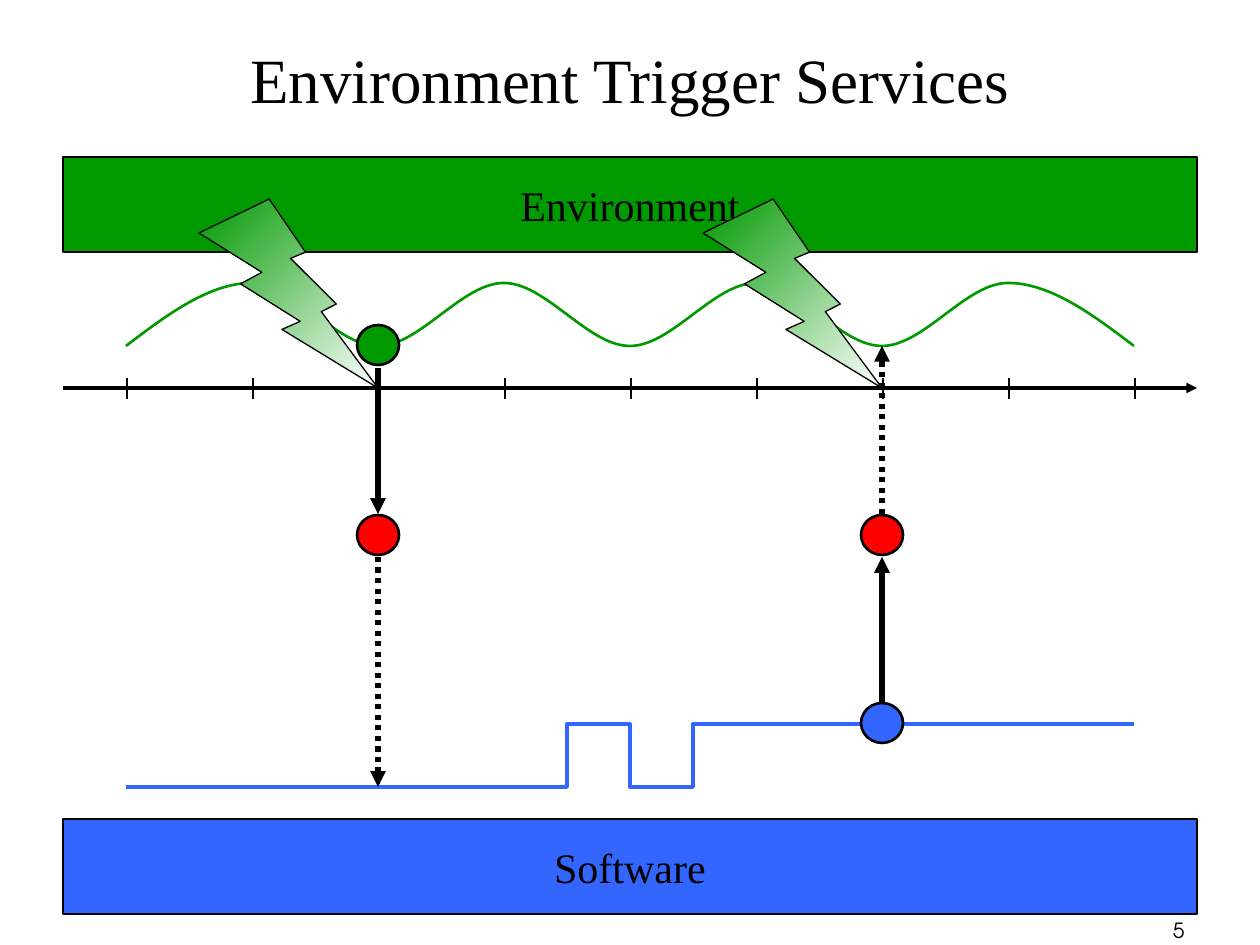
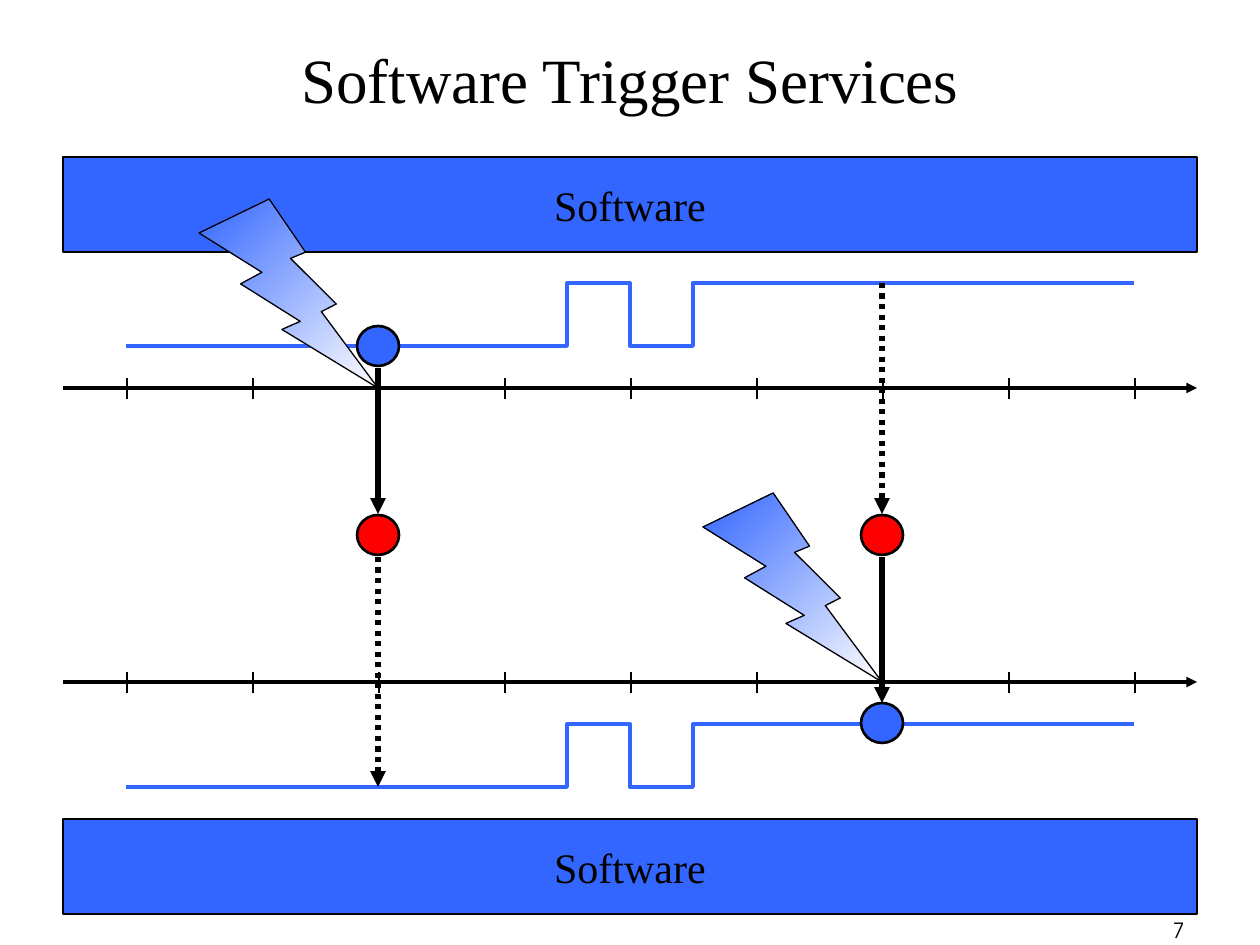
from lxml import etree
from pptx import Presentation
from pptx import util as u
from pptx.dml.color import RGBColor
from pptx.enum import dml, shapes, text
from pptx.oxml.ns import qn

PX = 914400 / 126  # EMU in one px
COLOURS = {name: RGBColor.from_string(value) for name, value in {
    "black": "000000", "white": "FFFFFF", "red": "FF0000",
    "green": "009900", "blue": "3366FF"}.items()}
SERIF, SANS = "Times New Roman", "TeX Gyre Adventor"
RECT, OVAL, BOLT = (shapes.MSO_SHAPE.RECTANGLE, shapes.MSO_SHAPE.OVAL,
                    shapes.MSO_SHAPE.LIGHTNING_BOLT)
STEP, LEFT, WAVE_H = 126, 126, 63
DOT_W, DOT_H = 42, 40
BOLT_W, BOLT_H = 179, 189

# Arrows are (x, from y, to y, dotted), dots (x, y, colour), bolts their tips
SLIDES = [
    dict(title="Environment Trigger Services", number="5",
         bands=[("Environment", 157, "green"), ("Software", 819, "blue")],
         curves=[283], pulses=[724], axes=[388],
         arrows=[(378, 368, 514, False), (378, 557, 787, True),
                 (882, 703, 557, False), (882, 514, 346, True)],
         dots=[(378, 345, "green"), (378, 535, "red"),
               (882, 535, "red"), (882, 723, "blue")],
         bolts=[(378, 388, "green"), (882, 388, "green")]),
    dict(title="Software Trigger Services", number="7",
         bands=[("Software", 157, "blue"), ("Software", 819, "blue")],
         curves=[], pulses=[283, 724], axes=[388, 682],
         arrows=[(378, 368, 514, False), (378, 557, 787, True),
                 (882, 557, 703, False), (882, 283, 514, True)],
         dots=[(378, 346, "blue"), (378, 535, "red"),
               (882, 535, "red"), (882, 723, "blue")],
         bolts=[(378, 388, "blue"), (882, 682, "blue")]),
]


def px(*lengths):
    return [u.Emu(round(n * PX)) for n in lengths]


def add_line(parent, ends, width, arrow=False, dotted=False):
    c = parent.add_connector(shapes.MSO_CONNECTOR.STRAIGHT, *px(*ends))
    c.line.color.rgb = COLOURS["black"]
    c.line.width = u.Pt(width)
    if dotted:
        c.line.dash_style = dml.MSO_LINE.ROUND_DOT
    if arrow:
        etree.SubElement(c.line._get_or_add_ln(), qn("a:tailEnd"), type="triangle")
    etree.SubElement(c._element.spPr, qn("a:effectLst"))


prs = Presentation()
prs.slide_width, prs.slide_height = px(1260, 945)

for data in SLIDES:
    s = prs.slides.add_slide(prs.slide_layouts[5])

    # Title
    title = s.shapes.title
    title.left, title.top, title.width, title.height = px(63, 0, 1134, 157)
    title.text = data["title"]
    title.text_frame.vertical_anchor = text.MSO_ANCHOR.MIDDLE
    p = title.text_frame.paragraphs[0]
    p.alignment = text.PP_ALIGN.CENTER
    p.font.name, p.font.size = SERIF, u.Pt(36)
    p.font.color.rgb = COLOURS["black"]

    # Signals: square pulses of the software, waves of the environment
    signals = []
    for top in data["pulses"]:
        low, high = top + WAVE_H, top
        fb = s.shapes.build_freeform(LEFT, low, scale=PX)
        fb.add_line_segments([(567, low), (567, high), (630, high), (630, low),
                              (693, low), (693, high), (1134, high)], close=False)
        signals.append((fb.convert_to_shape(), "blue", 2.25))
    for top in data["curves"]:
        nodes = [(i * STEP, 0 if i % 2 else WAVE_H) for i in range(9)]
        fb = s.shapes.build_freeform(LEFT, top + WAVE_H, scale=PX)
        fb.add_line_segments([(LEFT + x, top + y) for x, y in nodes[1:]], close=False)
        sp = fb.convert_to_shape()
        # Turn each segment into a Bezier, level at every inner node
        handles = [y for x, y in nodes]
        handles[0] = handles[-1] = WAVE_H // 2
        for i, seg in enumerate(list(sp._element.iter(qn("a:lnTo")))):
            (x0, y0), (x1, y1) = nodes[i:i + 2]
            curve = etree.Element(qn("a:cubicBezTo"))
            for x, y in [(x0 + STEP // 3, handles[i]),
                         (x1 - STEP // 3, handles[i + 1]), (x1, y1)]:
                etree.SubElement(curve, qn("a:pt"), x=str(x), y=str(y))
            seg.getparent().replace(seg, curve)
        signals.append((sp, "green", 1.5))
    for sp, colour, width in signals:
        sp.shadow.inherit = False
        sp.fill.background()
        sp.line.color.rgb = COLOURS[colour]
        sp.line.width = u.Pt(width)

    # Bands
    for label, top, colour in data["bands"]:
        sp = s.shapes.add_shape(RECT, *px(63, top, 1134, 95))
        sp.shadow.inherit = False
        sp.fill.solid()
        sp.fill.fore_color.rgb = COLOURS[colour]
        sp.line.color.rgb = COLOURS["black"]
        sp.line.width = u.Pt(0.75)
        tf = sp.text_frame
        tf.word_wrap = False
        tf.vertical_anchor = text.MSO_ANCHOR.MIDDLE
        p = tf.paragraphs[0]
        p.text = label
        p.alignment = text.PP_ALIGN.CENTER
        p.font.name, p.font.size = SERIF, u.Pt(24)
        p.font.color.rgb = COLOURS["black"]

    # Arrows, with the dots over their ends
    for x, start, end, dotted in data["arrows"]:
        add_line(s.shapes, (x, start, x, end), 3, arrow=True, dotted=dotted)
    for x, y, colour in data["dots"]:
        sp = s.shapes.add_shape(
            OVAL, *px(x - DOT_W / 2, y - DOT_H / 2, DOT_W, DOT_H))
        sp.shadow.inherit = False
        sp.fill.solid()
        sp.fill.fore_color.rgb = COLOURS[colour]
        sp.line.color.rgb = COLOURS["black"]
        sp.line.width = u.Pt(1.5)

    # Trigger bolts, fading to white at the tip
    for x, y, colour in data["bolts"]:
        sp = s.shapes.add_shape(BOLT, *px(x - BOLT_W, y - BOLT_H, BOLT_W, BOLT_H))
        sp.shadow.inherit = False
        sp.fill.gradient()
        sp.fill.gradient_angle = 135
        for stop, name in zip(sp.fill.gradient_stops, ("white", colour)):
            stop.color.rgb = COLOURS[name]
        sp.line.color.rgb = COLOURS["black"]
        sp.line.width = u.Pt(0.75)

    # Time axes with their ticks
    for y in data["axes"]:
        axis = s.shapes.add_group_shape().shapes
        add_line(axis, (63, y, 1197, y), 2, arrow=True)
        for i in range(9):
            x = LEFT + 1 + i * STEP
            add_line(axis, (x, y - 10, x, y + 11), 1.5)

    # Slide number
    tf = s.shapes.add_textbox(*px(935, 911, 262, 32)).text_frame
    tf.word_wrap = True
    p = tf.paragraphs[0]
    p.text = data["number"]
    p.alignment = text.PP_ALIGN.RIGHT
    p.font.name, p.font.size = SANS, u.Pt(12)
    p.font.color.rgb = COLOURS["black"]

prs.save("out.pptx")
